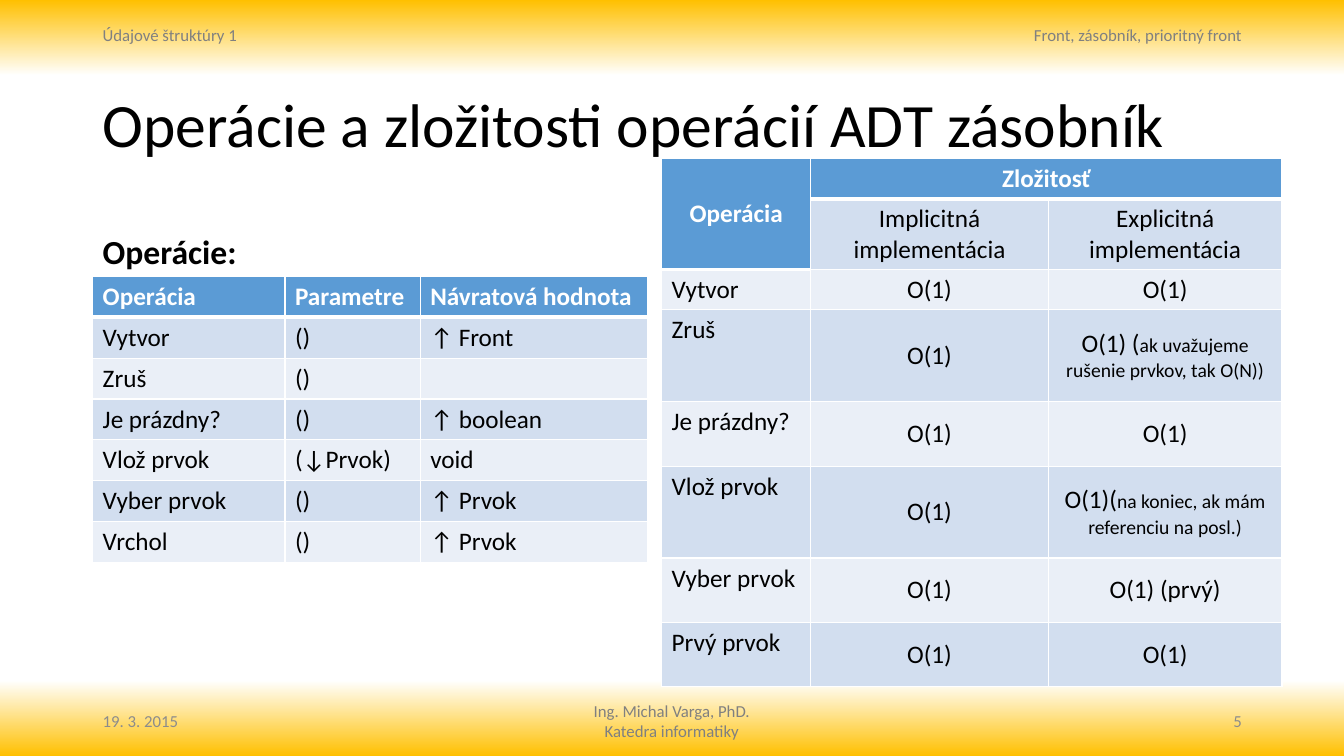
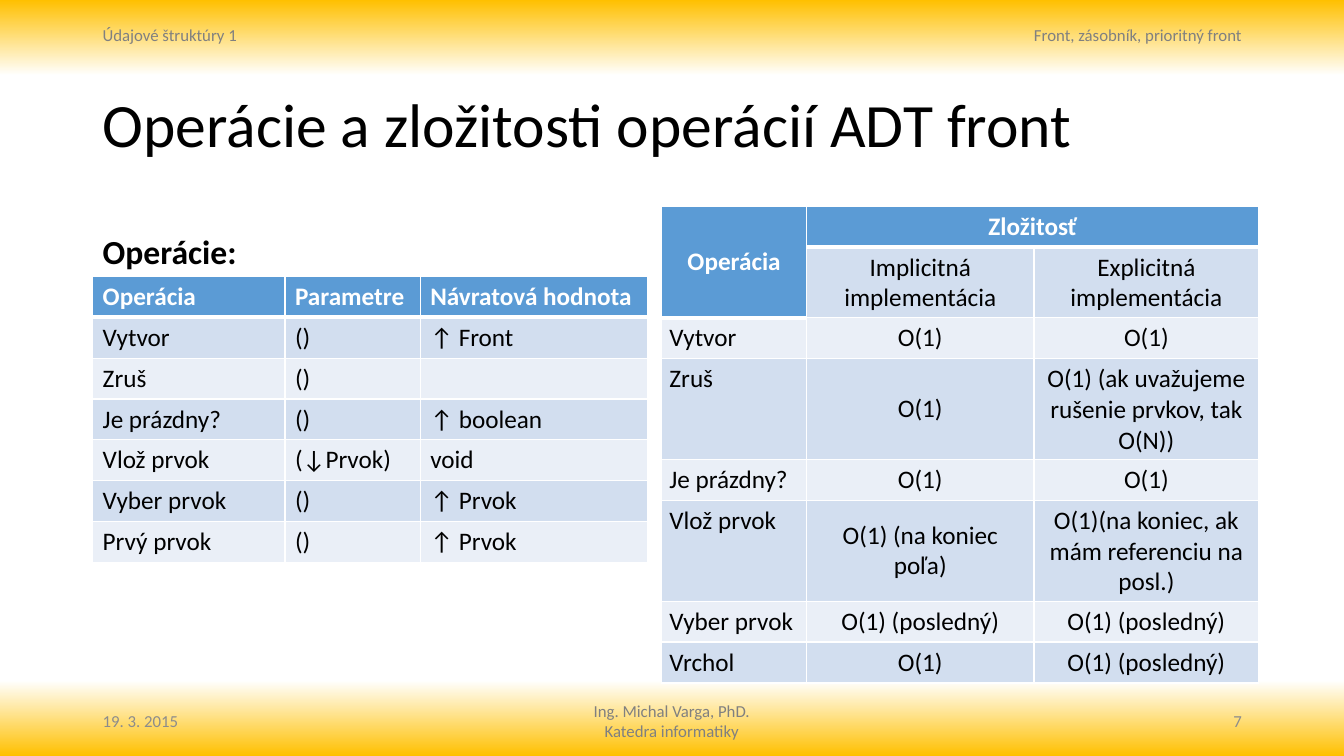
from dataclasses import dataclass

from lxml import etree
from pptx import Presentation
from pptx import util as u
from pptx.dml.color import RGBColor
from pptx.enum import text
from pptx.oxml import ns

Pt = u.Pt
LEFT, CENTER, RIGHT = text.PP_ALIGN.LEFT, text.PP_ALIGN.CENTER, text.PP_ALIGN.RIGHT
TOP, MIDDLE, BOTTOM = text.MSO_ANCHOR.TOP, text.MSO_ANCHOR.MIDDLE, text.MSO_ANCHOR.BOTTOM


@dataclass(frozen=True)
class Theme:
    font: str = "Calibri"
    gold: str = "FFC000"
    white: str = "FFFFFF"
    black: str = "000000"
    header: str = "5B9BD5"
    bands: tuple = ("EAEFF7", "D2DEEF")
    band_text: str = "808080"
    footer_text: str = "8C8C8C"
    title_size: float = 44
    heading_size: float = 24
    table_size: float = 18
    note_size: float = 14
    footer_size: float = 12
    margin: float = 66.2
    content_width: float = 828
    footer_width: float = 216


def set_attrs(obj, values):
    for name, value in values.items():
        setattr(obj, name, value)


def place(sp, left, top, width, height):
    set_attrs(sp, {"left": Pt(left), "top": Pt(top), "width": Pt(width), "height": Pt(height)})


class Deck:
    def __init__(self, theme):
        self.t = theme
        self.prs = Presentation()
        set_attrs(self.prs, {"slide_width": Pt(960), "slide_height": Pt(540)})
        self.s = None
        self.background()

    def background(self):
        """Gold bands at the top and bottom of every slide."""
        t = self.t
        fill = self.prs.slide_master.background.fill
        fill.gradient()
        fill.gradient_angle = 270
        stops = next(self.prs.slide_master.element.iter(ns.qn("a:gsLst")))
        for gs in list(stops):
            stops.remove(gs)
        for pos, color in ((0, t.gold), (10, t.white), (90, t.white), (100, t.gold)):
            gs = etree.SubElement(stops, ns.qn("a:gs"), pos=str(pos * 1000))
            etree.SubElement(gs, ns.qn("a:srgbClr"), val=color)

    def font(self, r, size, color, bold=False):
        set_attrs(r.font, {"name": self.t.font, "size": Pt(size), "bold": bold})
        r.font.color.rgb = RGBColor.from_string(color)

    def slide(self, title, number):
        self.s = self.prs.slides.add_slide(self.prs.slide_layouts.get_by_name("Comparison"))
        self.title(title)
        self.bands(number)

    def title(self, words):
        t = self.t
        sp = self.s.shapes.title
        place(sp, t.margin, 49.4, t.content_width, 83.5)
        self.placeholder_text(sp, words, t.title_size, MIDDLE)

    def heading(self, words):
        body, *unused = list(self.s.placeholders)[1:]
        for sp in unused:
            sp.element.getparent().remove(sp.element)
        place(body, self.t.margin, 132.7, 406, 64.7)
        self.placeholder_text(body, words, self.t.heading_size, BOTTOM, bold=True)

    def placeholder_text(self, sp, words, size, anchor, bold=False):
        tf = sp.text_frame
        tf.text = words
        set_attrs(tf, {"vertical_anchor": anchor, "word_wrap": True,
                       "auto_size": text.MSO_AUTO_SIZE.NONE})
        p = tf.paragraphs[0]
        set_attrs(p, {"alignment": LEFT, "line_spacing": 0.9, "space_before": Pt(0)})
        self.font(p.runs[0], size, self.t.black, bold)

    def bands(self, number):
        """Header and footer texts."""
        t = self.t
        right = t.margin + t.content_width - t.footer_width
        self.label("Údajové štruktúry 1", t.margin, 14.4, 22, LEFT)
        self.label("Front, zásobník, prioritný front", right, 14.4, 22, RIGHT)
        self.label("Ing. Michal Varga, PhD.\nKatedra informatiky", 342.7, 496.8, 36, CENTER, width=274.4)
        footer = {"anchor": MIDDLE, "color": t.footer_text}
        self.label("19. 3. 2015", t.margin, 500.5, 28.8, LEFT, **footer)
        self.label(str(number), right, 500.5, 28.8, RIGHT, **footer)

    def label(self, words, left, top, height, align, width=None, anchor=TOP, color=None):
        t = self.t
        sp = self.s.shapes.add_textbox(Pt(left), Pt(top), Pt(width or t.footer_width), Pt(height))
        tf = sp.text_frame
        tf.text = words
        set_attrs(tf, {"word_wrap": True, "vertical_anchor": anchor})
        for p in tf.paragraphs:
            p.alignment = align
            self.font(p.runs[0], t.footer_size, color or t.band_text)

    def table(self, rows, left, top, widths, heights):
        frame = self.s.shapes.add_table(len(rows), len(widths), Pt(left), Pt(top),
                                        Pt(sum(widths)), Pt(sum(heights)))
        table = frame.table
        for col, width in zip(table.columns, widths):
            col.width = Pt(width)
        for row, height in zip(table.rows, heights):
            row.height = Pt(height)
        return table

    def cell(self, cell, content, band, header=False, under_header=False, centered=False, side=7.2):
        """Content is a text, or a pair of a text and a smaller note."""
        t = self.t
        set_attrs(cell, {"margin_left": Pt(side), "margin_right": Pt(side),
                         "vertical_anchor": MIDDLE if centered else TOP})
        self.borders(cell, top=3 if under_header else 1, bottom=3 if header else 1)
        cell.fill.solid()
        cell.fill.fore_color.rgb = RGBColor.from_string(t.header if header else t.bands[band])
        p = cell.text_frame.paragraphs[0]
        p.alignment = CENTER if centered else LEFT
        parts = (content,) if isinstance(content, str) else content
        for part, size in zip(parts, (t.table_size, t.note_size)):
            if part:
                r = p.add_run()
                r.text = part
                self.font(r, size, t.white if header else t.black, header)

    def borders(self, cell, top, bottom):
        tc_pr = cell._tc.get_or_add_tcPr()
        for side, width in (("L", 1), ("R", 1), ("T", top), ("B", bottom)):
            ln = etree.SubElement(tc_pr, ns.qn("a:ln" + side), w=str(Pt(width)))
            fill = etree.SubElement(ln, ns.qn("a:solidFill"))
            etree.SubElement(fill, ns.qn("a:srgbClr"), val=self.t.white)

    def operations(self, last):
        rows = OPERATIONS + [(last, "()", "↑ Prvok")]
        table = self.table(rows, self.t.margin, 197.4, (137.4, 96.6, 162.4), [29.2] * len(rows))
        for i, row in enumerate(rows):
            for j, content in enumerate(row):
                self.cell(table.cell(i, j), content, i % 2, header=i == 0, under_header=i == 1)

    def complexity(self, body, top, widths, heights, side):
        rows = COMPLEXITY_HEAD + body
        table = self.table(rows, 472.6, top, widths, heights)
        for i, row in enumerate(rows):
            for j, content in enumerate(row):
                self.cell(table.cell(i, j), content, i % 2, side=side,
                          header=i == 0 or (i, j) == (1, 0),
                          under_header=(i, j) in ((1, 1), (1, 2), (2, 0)),
                          centered=i < 2 or j > 0)
        table.cell(0, 0).merge(table.cell(1, 0))
        table.cell(0, 1).merge(table.cell(0, 2))


# Table contents
OPERATIONS = [
    ("Operácia", "Parametre", "Návratová hodnota"),
    ("Vytvor", "()", "↑ Front"),
    ("Zruš", "()", ""),
    ("Je prázdny?", "()", "↑ boolean"),
    ("Vlož prvok", "(↓Prvok)", "void"),
    ("Vyber prvok", "()", "↑ Prvok"),
]
COMPLEXITY_HEAD = [
    ("Operácia", "Zložitosť", ""),
    ("", "Implicitná implementácia", "Explicitná implementácia"),
]
STACK = [
    ("Vytvor", "O(1)", "O(1)"),
    ("Zruš", "O(1)", ("O(1) (", "ak uvažujeme rušenie prvkov, tak O(N))")),
    ("Je prázdny?", "O(1)", "O(1)"),
    ("Vlož prvok", "O(1)", ("O(1)(", "na koniec, ak mám referenciu na posl.)")),
    ("Vyber prvok", "O(1)", "O(1) (prvý)"),
    ("Prvý prvok", "O(1)", "O(1)"),
]
QUEUE = [
    ("Vytvor", "O(1)", "O(1)"),
    ("Zruš", "O(1)", "O(1) (ak uvažujeme rušenie prvkov, tak O(N))"),
    ("Je prázdny?", "O(1)", "O(1)"),
    ("Vlož prvok", "O(1) (na koniec poľa)", "O(1)(na koniec, ak mám referenciu na posl.)"),
    ("Vyber prvok", "O(1) (posledný)", "O(1) (posledný)"),
    ("Vrchol", "O(1)", "O(1) (posledný)"),
]


def main():
    deck = Deck(Theme())

    # Stack
    deck.slide("Operácie a zložitosti operácií ADT zásobník", 5)
    deck.heading("Operácie:")
    deck.operations("Vrchol")
    deck.complexity(STACK, 113.2, (106.6, 169.6, 167),
                    (26.6, 46, 26.6, 65.7, 46, 65.7, 46, 46), side=7.2)

    # Queue
    deck.slide("Operácie a zložitosti operácií ADT front", 7)
    deck.heading("Operácie:")
    deck.operations("Prvý prvok")
    deck.complexity(QUEUE, 147.7, (103.6, 162.4, 160.6), [24] + [29.2] * 7, side=5.6)

    deck.prs.save("out.pptx")


if __name__ == "__main__":
    main()
